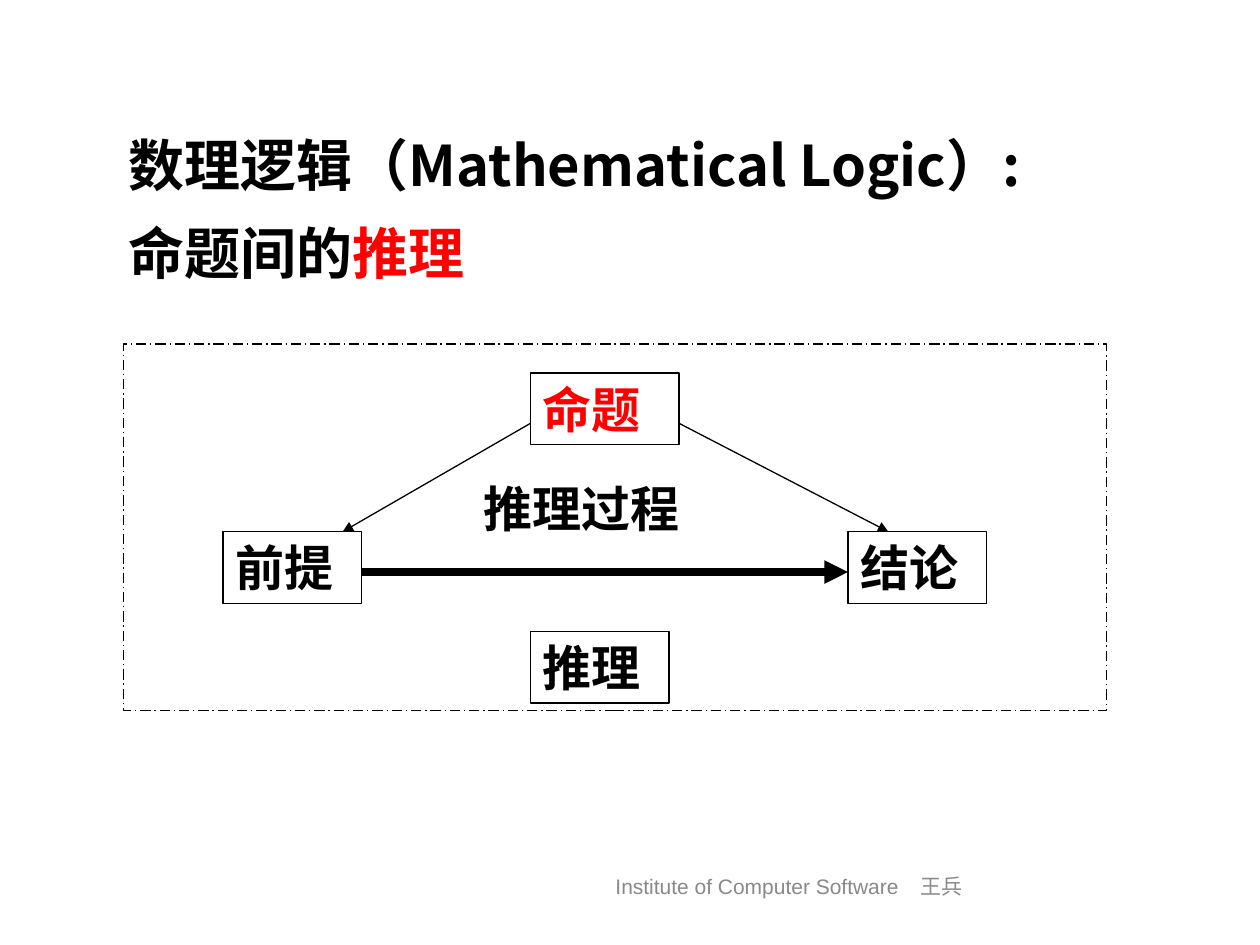
"""Build a slide on reasoning between propositions, on a grid of 100 columns by 75 rows."""
from dataclasses import dataclass

import pptx
import pptx.dml.color
import pptx.enum.dml
import pptx.enum.shapes
import pptx.enum.text
import pptx.oxml.ns
import pptx.oxml.xmlchemy
import pptx.util
from pptx.oxml import parse_xml

COLS, ROWS = 100, 75
WIDTH, HEIGHT = pptx.util.Inches(10), pptx.util.Inches(7.5)
COLORS = {"ink": "000000", "accent": "FF0000", "footer": "898989"}
CJK = "Noto Sans CJK SC"
BOX_H = 5.7


@dataclass(frozen=True)
class Label:
    runs: tuple[tuple[str, str], ...]
    col: float
    row: float
    cols: float
    rows: float = BOX_H
    size: int = 28
    font: str = CJK
    bold: bool = True
    boxed: bool = False
    spacing: float | None = None
    centered: bool = False


@dataclass(frozen=True)
class Arrow:
    start: tuple[float, float]
    end: tuple[float, float]
    weight: float = 0.75


def x(cols: float) -> int:
    return round(WIDTH * cols / COLS)


def y(rows: float) -> int:
    return round(HEIGHT * rows / ROWS)


def rgb(name: str) -> pptx.dml.color.RGBColor:
    return pptx.dml.color.RGBColor.from_string(COLORS[name])


def add_outline(s, col: float, row: float, cols: float, rows: float):
    sp = s.shapes.add_shape(pptx.enum.shapes.MSO_SHAPE.RECTANGLE,
                            x(col), y(row), x(cols), y(rows))
    sp.shadow.inherit = False
    sp.fill.background()
    sp.line.color.rgb = rgb("ink")
    sp.line.width = pptx.util.Pt(0.75)
    return sp


def add_label(s, label: Label) -> None:
    area = (label.col, label.row, label.cols, label.rows)
    if label.boxed:
        sp = add_outline(s, *area)
    else:
        sp = s.shapes.add_textbox(x(label.col), y(label.row), x(label.cols), y(label.rows))
    tf = sp.text_frame
    tf.word_wrap = True
    anchors = pptx.enum.text.MSO_ANCHOR
    tf.vertical_anchor = anchors.MIDDLE if label.centered else anchors.TOP
    p = tf.paragraphs[0]
    aligns = pptx.enum.text.PP_ALIGN
    p.alignment = aligns.CENTER if label.centered else aligns.LEFT
    p.line_spacing = label.spacing
    p.font.size = pptx.util.Pt(label.size)
    p.font.bold = label.bold
    p.font.name = label.font
    colors = {color for _, color in label.runs}
    if len(colors) == 1:
        p.font.color.rgb = rgb(colors.pop())
    latin = p._p.pPr.find(".//" + pptx.oxml.ns.qn("a:latin"))
    latin.addnext(parse_xml(f'<a:ea {pptx.oxml.ns.nsdecls("a")} typeface="{CJK}"/>'))
    for text, color in label.runs:
        r = p.add_run()
        r.text = text
        if len(label.runs) > 1:
            r.font.color.rgb = rgb(color)


def add_arrow(s, arrow: Arrow) -> None:
    (x1, y1), (x2, y2) = arrow.start, arrow.end
    cx = s.shapes.add_connector(pptx.enum.shapes.MSO_CONNECTOR.STRAIGHT,
                                x(x1), y(y1), x(x2), y(y2))
    cx.line.color.rgb = rgb("ink")
    cx.line.width = pptx.util.Pt(arrow.weight)
    ns = pptx.oxml.ns.nsdecls("a")
    cx.line._get_or_add_ln().append(parse_xml(f'<a:tailEnd {ns} type="triangle"/>'))
    cx._element.spPr.append(parse_xml(f"<a:effectLst {ns}/>"))


FOOTER = Label((("Institute of Computer Software　王兵", "footer"),), 25.2, 68.3, 74.8, 4,
               size=12, font="Arial", bold=False, centered=True)
PREMISE = Label((("前提", "ink"),), 17.7, 42.2, 11, boxed=True)
CONCLUSION = Label((("结论", "ink"),), 67.3, 42.2, 11, boxed=True)
PROCESS = Label((("推理过程", "ink"),), 37.4, 37.5, 20.5)
REASONING = Label((("推理", "ink"),), 42.1, 50.1, 11, boxed=True)
PROPOSITION = Label((("命题", "accent"),), 42.1, 29.6, 11.8, boxed=True)
TITLE = Label((("数理逻辑（Mathematical Logic）:命题间的", "ink"), ("推理", "accent")),
              9.2, 8.3, 74.2, 14.9, size=32, spacing=1.3)
LABELS = (FOOTER, PREMISE, CONCLUSION, PROCESS, REASONING, PROPOSITION, TITLE)
ARROWS = (
    Arrow((PREMISE.col + PREMISE.cols, 45.4), (CONCLUSION.col, 45.4), 4.5),
    Arrow((PROPOSITION.col, 33.6), (27.2, PREMISE.row)),
    Arrow((PROPOSITION.col + PROPOSITION.cols, 33.6), (70.5, CONCLUSION.row)),
)


def main() -> None:
    prs = pptx.Presentation()
    prs.slide_width, prs.slide_height = WIDTH, HEIGHT
    s = prs.slides.add_slide(prs.slide_layouts[6])
    frame = add_outline(s, 9.8, 27.3, 78, 29.1)
    frame.line.dash_style = pptx.enum.dml.MSO_LINE.LONG_DASH_DOT
    for label in LABELS:
        add_label(s, label)
    for arrow in ARROWS:
        add_arrow(s, arrow)
    prs.save("out.pptx")


if __name__ == "__main__":
    main()
